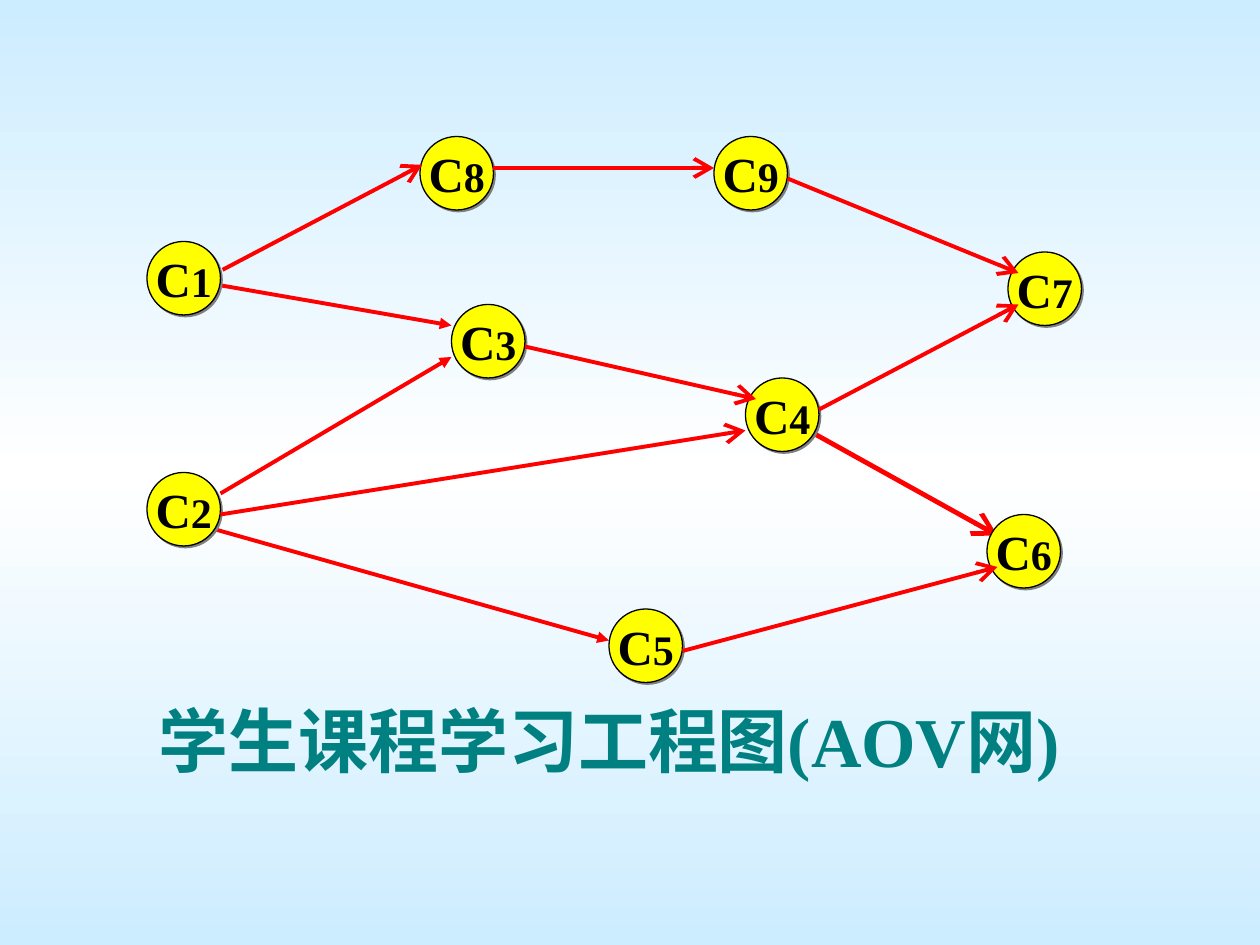
from lxml import etree
from copy import deepcopy
from pptx import Presentation
from pptx.dml.color import RGBColor
from pptx.enum.shapes import MSO_CONNECTOR, MSO_SHAPE
from pptx.enum.text import MSO_ANCHOR, MSO_AUTO_SIZE, PP_ALIGN
from pptx.oxml.ns import qn
from pptx.util import Cm, Pt

OVAL = MSO_SHAPE.OVAL
LINE = MSO_CONNECTOR.STRAIGHT
MIDDLE, TOP = MSO_ANCHOR.MIDDLE, MSO_ANCHOR.TOP
CENTER = PP_ALIGN.CENTER
NOFIT = MSO_AUTO_SIZE.NONE
FONT = "Times New Roman"
UNIT = 2.54 / 12
SIZE = 7

BACK = [(0, "CCECFF"), (0.5, "FFFFFF"), (1, "CCECFF")]
HEADS = {"arrow": "lg", "triangle": "med"}
BELOW = [
    (77, 41, 95, 51, 2.75, "arrow"),
    (19, 50, 58, 61, 2.25, "triangle"),
    (21, 47, 43, 34, 2.25, "triangle"),
    (20, 27, 43, 31, 2.25, "triangle"),
]
NODES = [
    ("8", 40, 13), ("3", 43, 29), ("5", 58, 58),
    ("4", 71, 36), ("9", 68, 13), ("6", 94, 49),
    ("7", 96, 24), ("1", 14, 23), ("2", 14, 45),
]
ABOVE = [
    (47, 16, 68, 16, 2.25, "arrow"),
    (50, 33, 72, 38, 2.25, "arrow"),
    (21, 49, 71, 41, 2.25, "arrow"),
    (75, 17, 97, 26, 2.25, "arrow"),
    (78, 39, 97, 29, 2.25, "arrow"),
    (65, 62, 95, 54, 2.25, "arrow"),
    (21.2, 25.7, 40.2, 15.7, 2.25, "arrow"),
]


def color(code):
    return RGBColor.from_string(code)


def add_run(para, text, size, code):
    run = para.add_run()
    run.text = text
    font = run.font
    font.name, font.size, font.bold = FONT, Pt(size), True
    font.color.rgb = color(code)


def paint_back(slide):
    fill = slide.background.fill
    fill.gradient()
    fill.gradient_angle = 90
    stops = slide.element.find(".//" + qn("a:gsLst"))
    stops.append(deepcopy(stops[0]))
    for stop, (place, code) in zip(fill.gradient_stops, BACK):
        stop.position = place
        stop.color.rgb = color(code)


def add_shade(shape):
    effects = etree.SubElement(shape.element.spPr, qn("a:effectLst"))
    shade = etree.SubElement(effects, qn("a:outerShdw"), dist="17961",
                             dir="2700000", algn="ctr", rotWithShape="0")
    etree.SubElement(shade, qn("a:srgbClr"), val="808080")


def add_node(slide, digit, left, top, size):
    node = slide.shapes.add_shape(OVAL, left, top, size, size)
    node.fill.solid()
    node.fill.fore_color.rgb = color("FFFF00")
    node.line.color.rgb = color("000000")
    node.line.width = Pt(0.75)
    add_shade(node)
    frame = node.text_frame
    frame.word_wrap = False
    frame.vertical_anchor = MIDDLE
    para = frame.paragraphs[0]
    para.alignment = CENTER
    add_run(para, "C", 28, "000000")
    add_run(para, digit, 24, "000000")


def add_edge(slide, start, end, width, head):
    edge = slide.shapes.add_connector(LINE, *start, *end)
    edge.line.color.rgb = color("FF0000")
    edge.line.width = Pt(width)
    props = edge.element.spPr
    etree.SubElement(props.find(qn("a:ln")), qn("a:tailEnd"),
                     type=head, w=HEADS[head], len=HEADS[head])
    etree.SubElement(props, qn("a:effectLst"))


def draw_graph(slide, left, top):
    def point(x, y):
        return left + Cm(x * UNIT), top + Cm(y * UNIT)

    def draw_edges(edges):
        for x1, y1, x2, y2, width, head in edges:
            add_edge(slide, point(x1, y1), point(x2, y2), width, head)

    draw_edges(BELOW)
    for digit, x, y in NODES:
        add_node(slide, digit, *point(x, y), Cm(SIZE * UNIT))
    draw_edges(ABOVE)


def set_title(slide, left, top, width, height):
    title = slide.shapes.title
    title.left, title.top = left, top
    title.width, title.height = width, height
    frame = title.text_frame
    frame.word_wrap = True
    frame.auto_size = NOFIT
    frame.vertical_anchor = TOP
    para = frame.paragraphs[0]
    para.alignment = CENTER
    add_run(para, "学生课程学习工程图(AOV网)", 40, "008080")


def main():
    deck = Presentation()
    deck.slide_width, deck.slide_height = Cm(25.4), Cm(19.05)
    slide = deck.slides.add_slide(deck.slide_layouts[5])
    paint_back(slide)
    set_title(slide, Cm(2.33), Cm(13.94), Cm(19.9), Cm(1.96))
    draw_graph(slide, Cm(0), Cm(0))
    deck.save("out.pptx")


if __name__ == "__main__":
    main()
